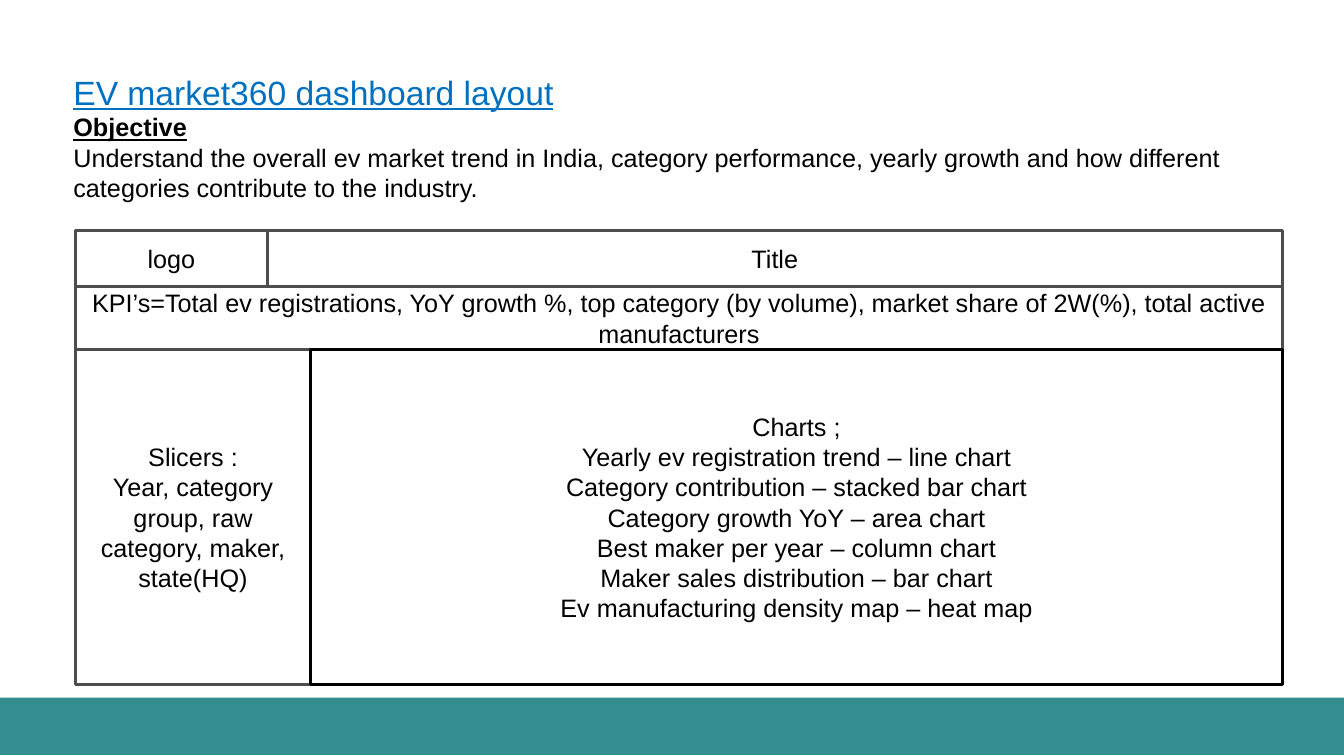
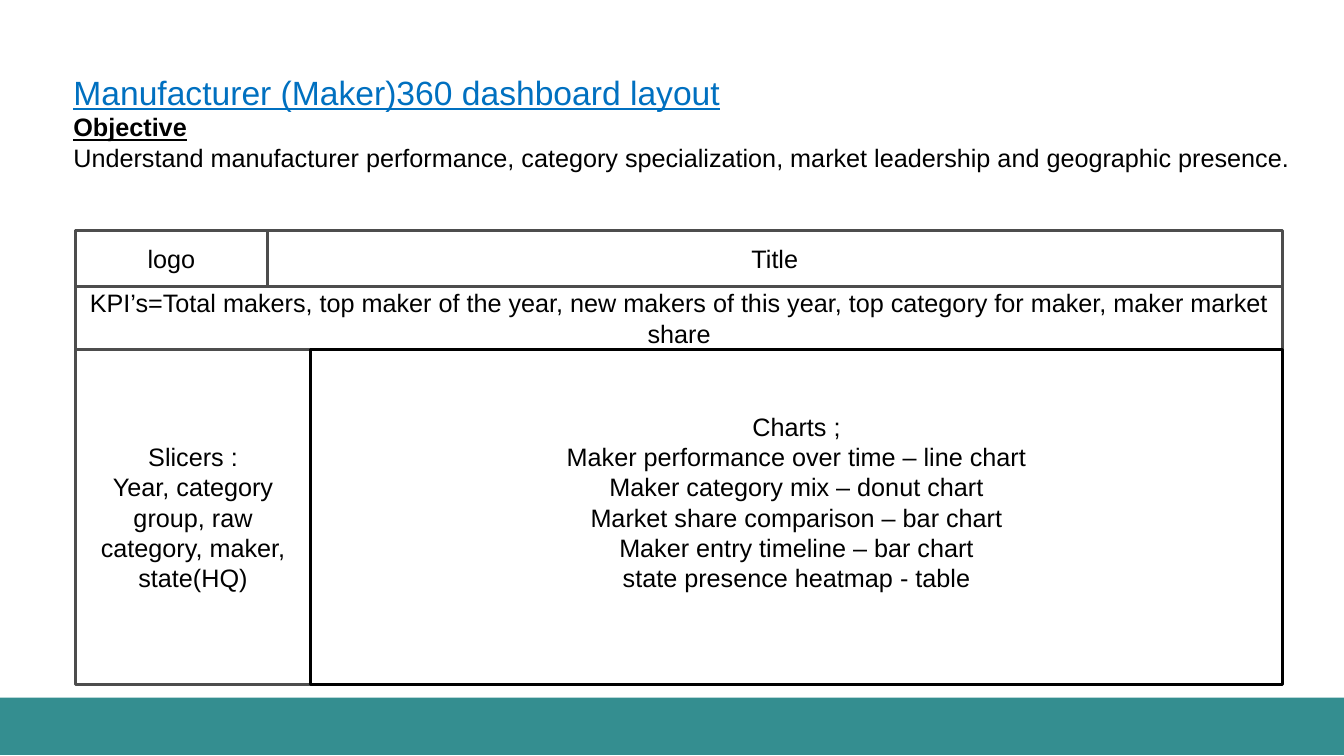
import pptx
import pptx.dml.color
import pptx.enum.shapes
import pptx.enum.text
import pptx.util

PX = 9144  # 100 px to the inch
SLIDE_WIDTH, SLIDE_HEIGHT = 1333, 750
FONT = "Arial"
COLORS = {"band": "348E90", "title": "0070C0", "text": "000000",
          "paper": "FFFFFF", "frame": "4D4D4D", "chart_frame": "000000"}

SLICERS = ["Slicers :", "Year, category group, raw category, maker, state(HQ)"]
SLIDES = [
    {
        "title": "EV market360 dashboard layout",
        "objective": "Understand the overall ev market trend in India, category performance, "
                     "yearly growth and how different categories contribute to the industry.",
        "kpis": "KPI’s=Total ev registrations, YoY growth %, top category (by volume), "
                "market share of 2W(%), total active manufacturers",
        "charts": [
            "Charts ;",
            "Yearly ev registration trend – line chart",
            "Category contribution – stacked bar chart",
            "Category growth YoY – area chart",
            "Best maker per year – column chart",
            "Maker sales distribution – bar chart",
            "Ev manufacturing density map – heat map",
        ],
        "heading_height": 141,
    },
    {
        "title": "Manufacturer (Maker)360 dashboard layout",
        "objective": "Understand manufacturer performance, category specialization, "
                     "market leadership and geographic presence.",
        "kpis": "KPI’s=Total makers, top maker of the year, new makers of this year, "
                "top category for maker, maker market share",
        "charts": [
            "Charts ;",
            "Maker performance over time – line chart",
            "Maker category mix – donut chart",
            "Market share comparison – bar chart",
            "Maker entry timeline – bar chart",
            "state presence heatmap - table",
        ],
        "heading_height": 111,
    },
]

BAND_TOP, BAND_HEIGHT = 692, 57
HEADING_LEFT, HEADING_TOP, HEADING_WIDTH = 63, 66, 1257
LEFT, TOP, WIDTH = 75, 229, 1197
HEADER_HEIGHT, KPI_HEIGHT, BODY_HEIGHT = 55, 63, 332
LOGO_WIDTH, SLICER_WIDTH = 190, 233
LINE_HEIGHT, INSET = 30, 5
MOST_CHART_LINES = max(len(content["charts"]) for content in SLIDES)

BODY_FORMAT = {"name": FONT, "size": pptx.util.Pt(18)}
HEADING_FORMATS = [
    ("title", {"name": FONT, "size": pptx.util.Pt(24), "underline": True}),
    ("text", {**BODY_FORMAT, "bold": True, "underline": True}),
    ("text", BODY_FORMAT),
]


def color(name):
    return pptx.dml.color.RGBColor.from_string(COLORS[name])


def box(left, top, width, height):
    return [length * PX for length in (left, top, width, height)]


def write(paragraph, text, color_name, font_format):
    paragraph.text = text
    for attribute, value in font_format.items():
        setattr(paragraph.font, attribute, value)
    paragraph.font.color.rgb = color(color_name)


def add_rectangle(slide, place, fill, line=None):
    shape = slide.shapes.add_shape(pptx.enum.shapes.MSO_SHAPE.RECTANGLE, *box(*place))
    shape.shadow.inherit = False
    shape.fill.solid()
    shape.fill.fore_color.rgb = color(fill)
    if line:
        shape.line.color.rgb = color(line)
        shape.line.width = pptx.util.Pt(2)
    else:
        shape.line.fill.background()
    return shape


def add_panel(slide, place, lines, line="frame", missing_lines=0):
    """Add a framed panel; missing_lines reserves space below its centred text."""
    frame = add_rectangle(slide, place, "paper", line).text_frame
    frame.word_wrap = True
    frame.vertical_anchor = pptx.enum.text.MSO_ANCHOR.MIDDLE
    frame.margin_bottom = (INSET + missing_lines * LINE_HEIGHT) * PX
    for index, text in enumerate(lines):
        paragraph = frame.add_paragraph() if index else frame.paragraphs[0]
        paragraph.alignment = pptx.enum.text.PP_ALIGN.CENTER
        write(paragraph, text, "text", BODY_FORMAT)


def add_heading(slide, content):
    place = (HEADING_LEFT, HEADING_TOP, HEADING_WIDTH, content["heading_height"])
    frame = slide.shapes.add_textbox(*box(*place)).text_frame
    frame.word_wrap = True
    frame.auto_size = pptx.enum.text.MSO_AUTO_SIZE.SHAPE_TO_FIT_TEXT
    texts = [content["title"], "Objective", content["objective"]]
    for index, (text, (color_name, font_format)) in enumerate(zip(texts, HEADING_FORMATS)):
        paragraph = frame.add_paragraph() if index else frame.paragraphs[0]
        write(paragraph, text, color_name, font_format)


def add_dashboard(slide, content):
    kpi_top = TOP + HEADER_HEIGHT
    body_top = kpi_top + KPI_HEIGHT
    charts = content["charts"]
    add_panel(slide, (LEFT, TOP, LOGO_WIDTH, HEADER_HEIGHT), ["logo"])
    add_panel(slide, (LEFT + LOGO_WIDTH, TOP, WIDTH - LOGO_WIDTH, HEADER_HEIGHT), ["Title"])
    add_panel(slide, (LEFT, kpi_top, WIDTH, KPI_HEIGHT), [content["kpis"]])
    add_panel(slide, (LEFT, body_top, SLICER_WIDTH, BODY_HEIGHT), SLICERS)
    add_panel(slide, (LEFT + SLICER_WIDTH, body_top, WIDTH - SLICER_WIDTH, BODY_HEIGHT),
              charts, "chart_frame", MOST_CHART_LINES - len(charts))


def main():
    presentation = pptx.Presentation()
    presentation.slide_width = SLIDE_WIDTH * PX
    presentation.slide_height = SLIDE_HEIGHT * PX
    for content in SLIDES:
        slide = presentation.slides.add_slide(presentation.slide_layouts[6])
        add_rectangle(slide, (0, BAND_TOP, SLIDE_WIDTH, BAND_HEIGHT), "band")
        add_heading(slide, content)
        add_dashboard(slide, content)
    presentation.save("out.pptx")


if __name__ == "__main__":
    main()
